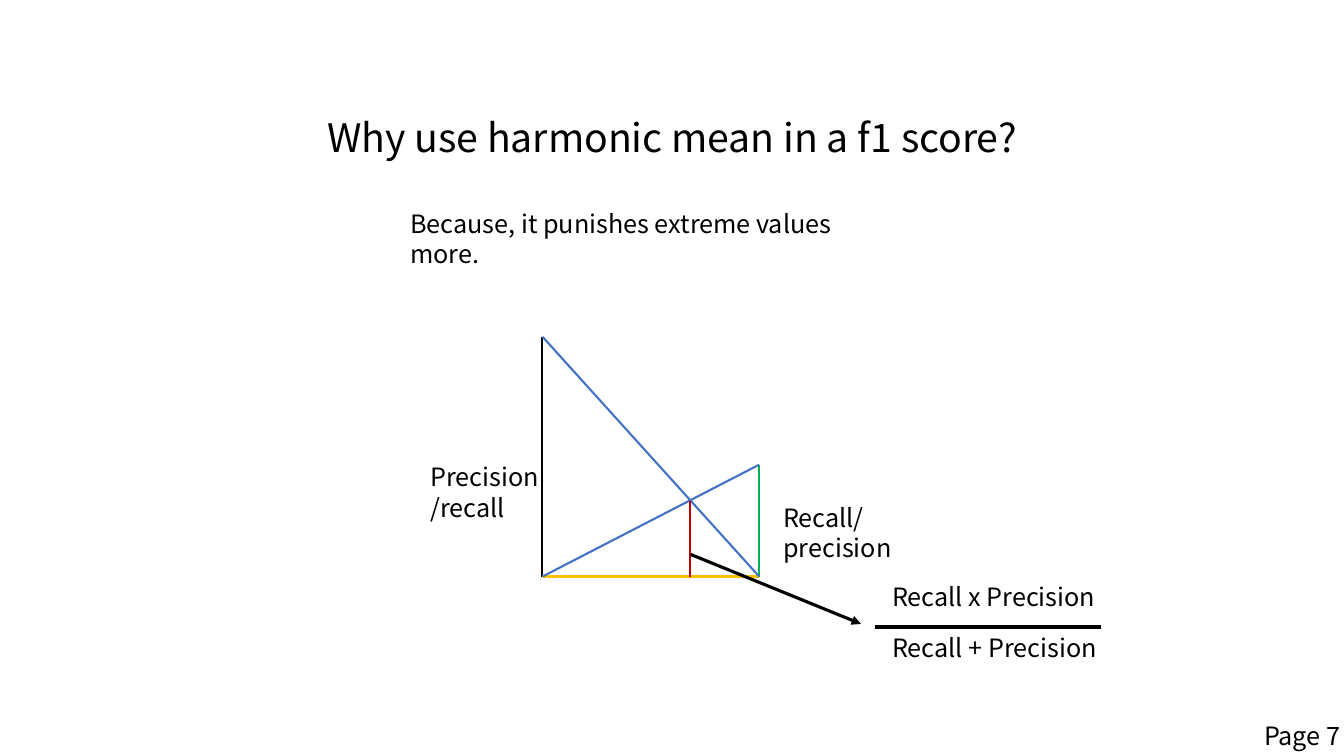
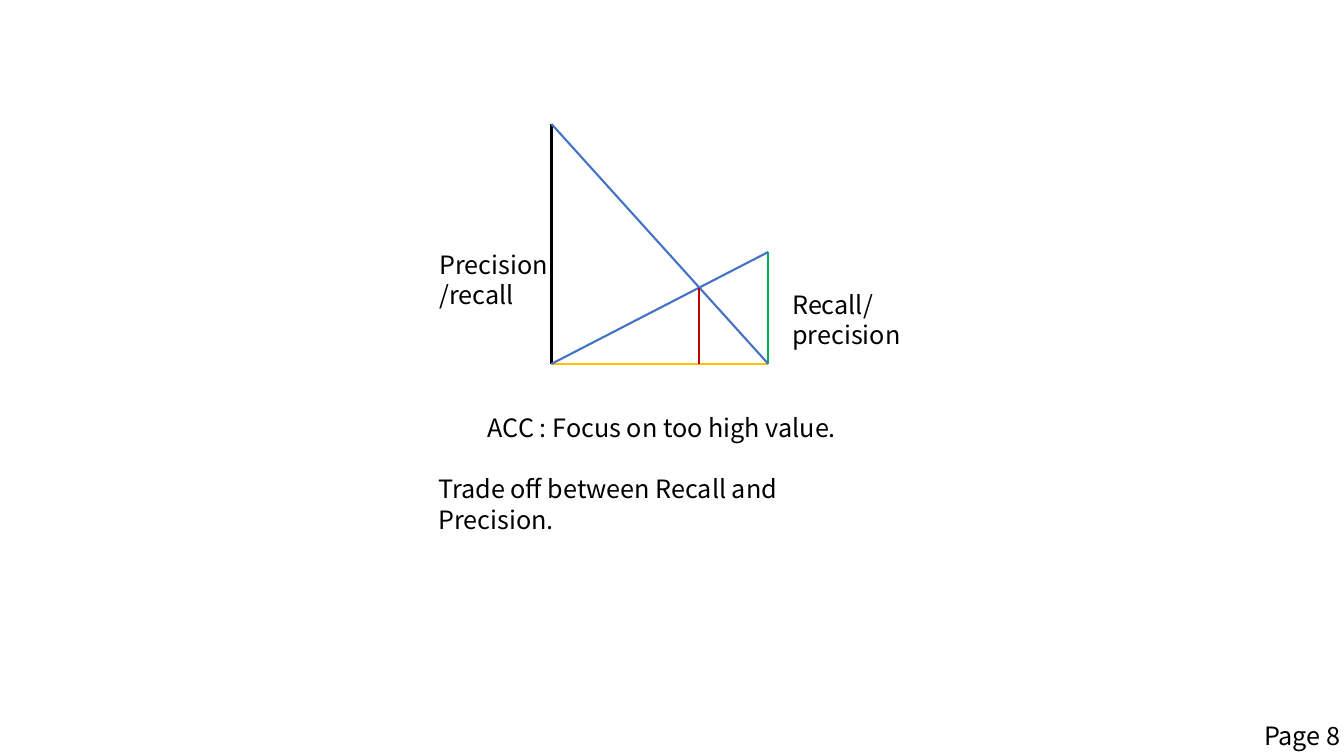
"""Build two slides that explain the harmonic mean behind the F1 score."""

from dataclasses import dataclass

from lxml import etree
from pptx import Presentation
from pptx.dml.color import RGBColor
from pptx.enum.shapes import MSO_CONNECTOR
from pptx.enum.text import MSO_AUTO_SIZE, PP_ALIGN
from pptx.oxml.ns import qn
from pptx.presentation import Presentation as Deck
from pptx.shapes.shapetree import GroupShapes, SlideShapes
from pptx.util import Emu, Pt

STRAIGHT = MSO_CONNECTOR.STRAIGHT
GROW = MSO_AUTO_SIZE.SHAPE_TO_FIT_TEXT
LEFT = PP_ALIGN.LEFT
CENTER = PP_ALIGN.CENTER

EMU_PER_PX = 9144
SLIDE_WIDTH, SLIDE_HEIGHT = 1333, 750
BLANK_LAYOUT = 6
FONT = "Noto Sans CJK KR"
TITLE_SIZE, BODY_SIZE = 28, 18
THIN, THICK = 1.5, 2.25
COLORS = {
    "ink": "000000",
    "base": "FFC000",
    "short_side": "00B050",
    "diagonal": "4472C4",
    "mean": "C00000",
}

BASE_WIDTH, TALL_SIDE, SHORT_SIDE = 215, 238, 111
CROSSING_X = BASE_WIDTH * TALL_SIDE // (TALL_SIDE + SHORT_SIDE)
CROSSING_HEIGHT = TALL_SIDE * SHORT_SIDE // (TALL_SIDE + SHORT_SIDE)


@dataclass(frozen=True)
class Label:
    text: str
    left: int
    top: int
    width: int
    height: int = 40
    size: int = BODY_SIZE
    align: PP_ALIGN = LEFT


@dataclass(frozen=True)
class Segment:
    start: tuple[int, int]
    end: tuple[int, int]
    color: str = "ink"
    weight: float = THIN
    arrow: bool = False


DIAGRAM_SEGMENTS = (
    Segment((0, 0), (0, -TALL_SIDE)),
    Segment((0, 0), (BASE_WIDTH, 0), "base"),
    Segment((BASE_WIDTH, 0), (BASE_WIDTH, -SHORT_SIDE), "short_side"),
    Segment((0, -TALL_SIDE), (BASE_WIDTH, 0), "diagonal"),
    Segment((0, 0), (BASE_WIDTH, -SHORT_SIDE), "diagonal"),
    Segment((CROSSING_X, 0), (CROSSING_X, -CROSSING_HEIGHT), "mean"),
)
DIAGRAM_LABELS = (
    Label("Precision\n/recall", -121, -119, 135, 71),
    Label("Recall/ precision", 229, -79, 133, 71),
)
FORMULA_SEGMENTS = (
    Segment((685, 550), (854, 619), weight=THICK, arrow=True),
    Segment((868, 622), (1092, 622), weight=THICK),
)
FORMULA_LABELS = (
    Label("Recall + Precision", 875, 622, 232),
    Label("Recall x Precision", 875, 572, 224),
)


def px(length: int) -> Emu:
    return Emu(length * EMU_PER_PX)


def add_label(shapes: SlideShapes | GroupShapes, label: Label, dx: int = 0, dy: int = 0) -> None:
    box = shapes.add_textbox(
        px(label.left + dx), px(label.top + dy), px(label.width), px(label.height)
    )
    frame = box.text_frame
    frame.word_wrap = True
    frame.auto_size = GROW
    frame.text = label.text
    for paragraph in frame.paragraphs:
        paragraph.alignment = label.align
        for run in paragraph.runs:
            run.font.name = FONT
            run.font.size = Pt(label.size)
            run.font.color.rgb = RGBColor.from_string(COLORS["ink"])


def add_segment(shapes: GroupShapes, segment: Segment, dx: int = 0, dy: int = 0) -> None:
    (x1, y1), (x2, y2) = segment.start, segment.end
    connector = shapes.add_connector(
        STRAIGHT, px(x1 + dx), px(y1 + dy), px(x2 + dx), px(y2 + dy)
    )
    connector.line.color.rgb = RGBColor.from_string(COLORS[segment.color])
    connector.line.width = Pt(segment.weight)
    properties = connector.element.spPr
    if segment.arrow:
        etree.SubElement(properties.find(qn("a:ln")), qn("a:tailEnd"), type="triangle")
    etree.SubElement(properties, qn("a:effectLst"))


def add_figure(
    shapes: SlideShapes,
    segments: tuple[Segment, ...],
    labels: tuple[Label, ...],
    dx: int = 0,
    dy: int = 0,
) -> None:
    figure = shapes.add_group_shape().shapes
    for segment in segments:
        add_segment(figure, segment, dx, dy)
    for label in labels:
        add_label(figure, label, dx, dy)


def add_page(
    deck: Deck, number: int, origin: tuple[int, int], labels: tuple[Label, ...]
) -> SlideShapes:
    shapes = deck.slides.add_slide(deck.slide_layouts[BLANK_LAYOUT]).shapes
    add_figure(shapes, DIAGRAM_SEGMENTS, DIAGRAM_LABELS, *origin)
    page_number = Label(f"Page {number}", 1237, 710, 109, align=CENTER)
    for label in (*labels, page_number):
        add_label(shapes, label)
    return shapes


def main() -> None:
    deck = Presentation()
    deck.slide_width, deck.slide_height = px(SLIDE_WIDTH), px(SLIDE_HEIGHT)
    question = add_page(deck, 7, (538, 572), (
        Label("Why use harmonic mean in a f1 score?", 266, 108, 801, 57, TITLE_SIZE, CENTER),
        Label("Because, it punishes extreme values more.", 397, 202, 498),
    ))
    add_figure(question, FORMULA_SEGMENTS, FORMULA_LABELS)
    add_page(deck, 8, (547, 361), (
        Label("ACC : Focus on too high value.", 474, 404, 385),
        Label("Trade off between Recall and Precision.", 425, 465, 465),
    ))
    deck.save("out.pptx")


if __name__ == "__main__":
    main()
